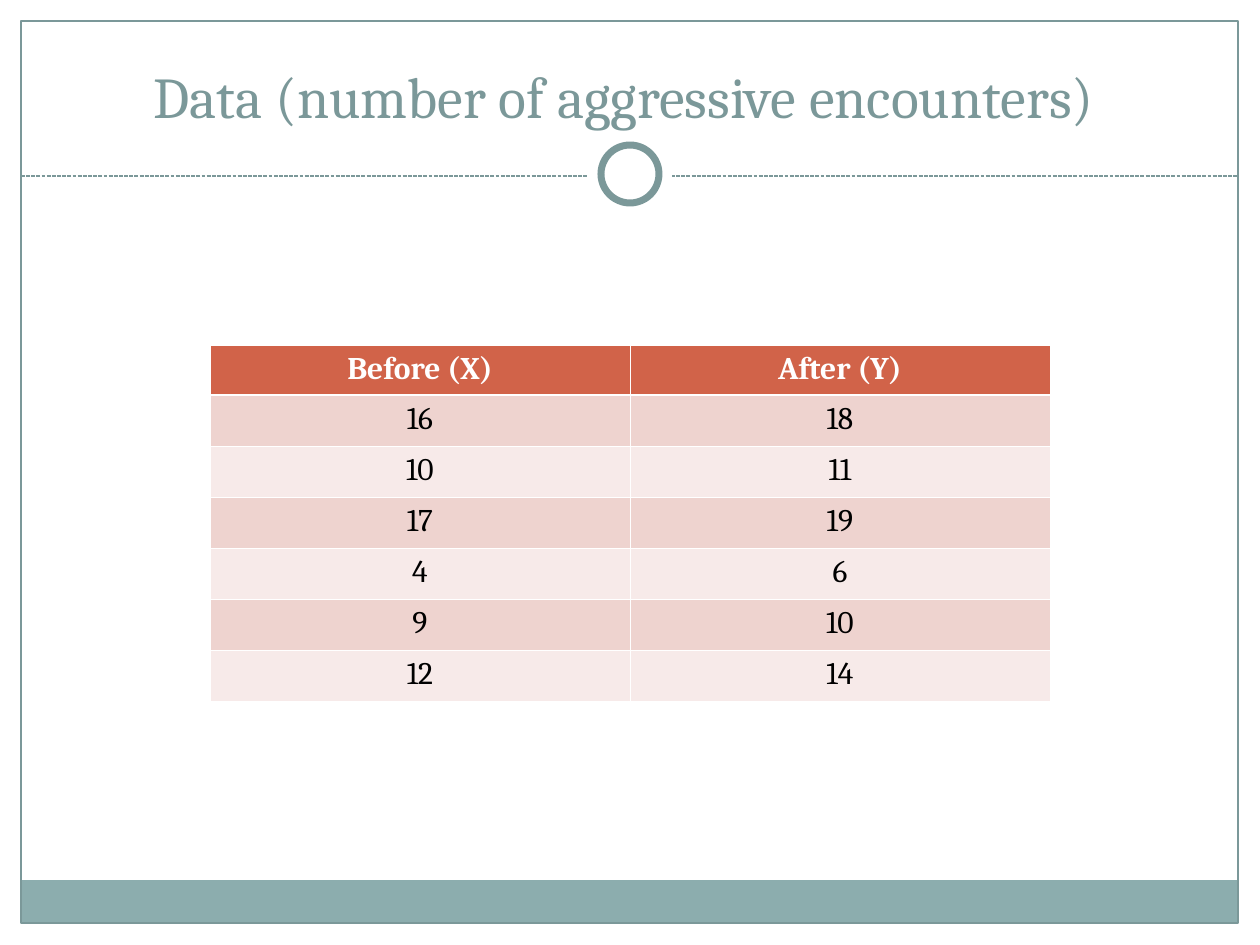
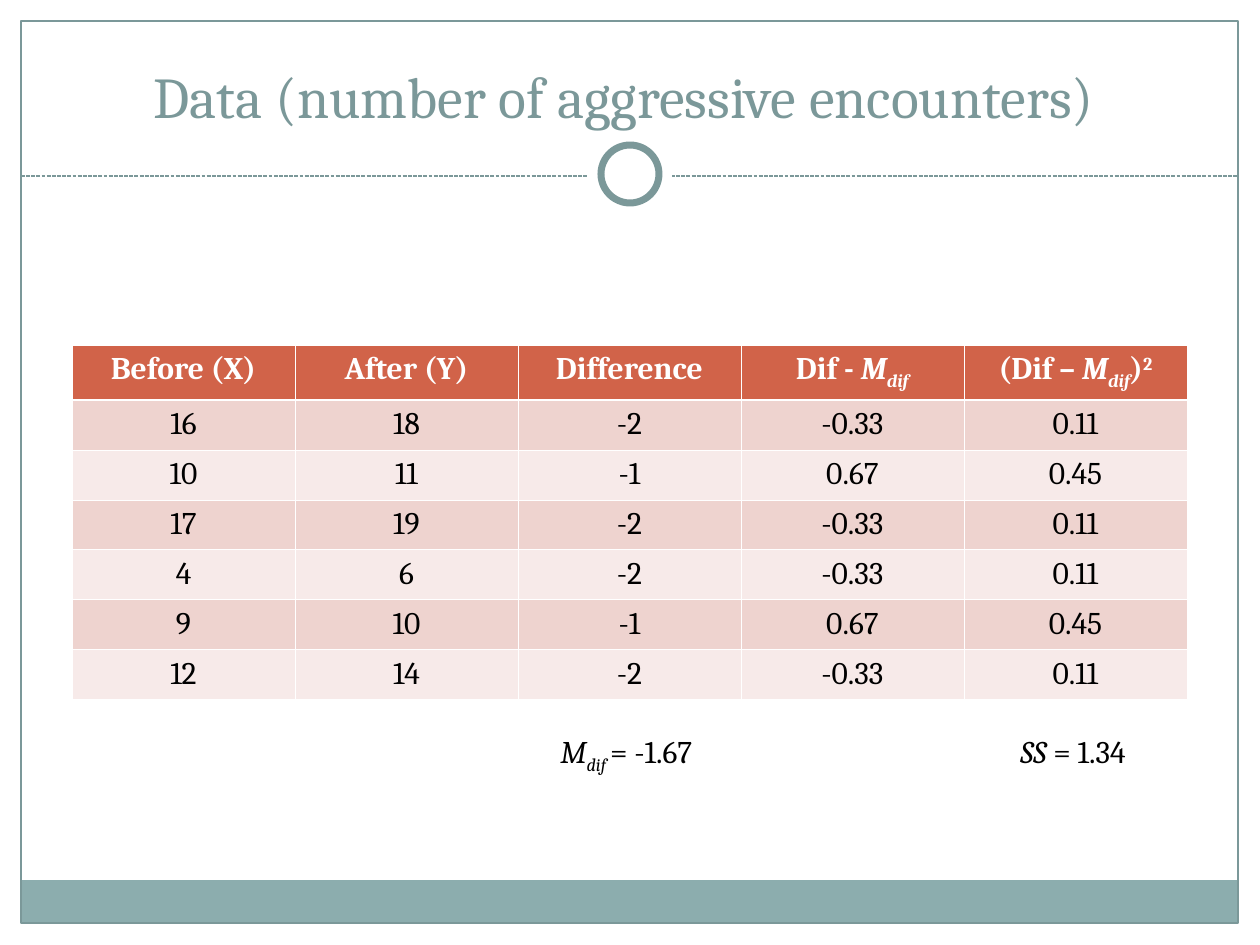
import lxml.etree
import pptx
import pptx.dml.color
import pptx.enum.dml
import pptx.enum.shapes
import pptx.enum.text
import pptx.oxml.ns
import pptx.util

EMU_PER_PX = 914400 / 126
PAGE_WIDTH, PAGE_HEIGHT = 1260, 945
FONT = "Cambria"
COLORS = {
    "white": "FFFFFF", "black": "000000", "slate": "7B9899", "band": "8CADAE",
    "header": "D16349", "odd row": "EED3CF", "even row": "F7EAE9",
}

TITLE = "Data (number of aggressive encounters) "
PLAIN, ITALIC = {}, {"italic": True}
SUBSCRIPT = {"italic": True, "baseline": -25}
SUPERSCRIPT = {"baseline": 30}
MEAN = [("M", ITALIC), ("dif", SUBSCRIPT)]

BEFORE = [16, 10, 17, 4, 9, 12]
AFTER = [18, 11, 19, 6, 10, 14]
DIFFERENCE = [-2, -1, -2, -2, -1, -2]
DEVIATION = ["-0.33", "0.67", "-0.33", "-0.33", "0.67", "-0.33"]
SQUARED = ["0.11", "0.45", "0.11", "0.11", "0.45", "0.11"]

PAGES = [
    {
        "columns": [("Before (X)", BEFORE), ("After (Y)", AFTER)],
        "column width": 420, "header height": 50, "row height": 51,
        "notes": [],
    },
    {
        "columns": [
            ("Before (X)", BEFORE),
            ("After (Y)", AFTER),
            ("Difference", DIFFERENCE),
            ([("Dif - ", PLAIN), *MEAN], DEVIATION),
            ([("(Dif – ", PLAIN), *MEAN, (")", PLAIN), ("2", SUPERSCRIPT)], SQUARED),
        ],
        "column width": 223, "header height": 55, "row height": 50,
        "notes": [
            ([("M", ITALIC), ("dif ", SUBSCRIPT), ("= -1.67", PLAIN)], (548, 726, 178, 55)),
            ([("SS ", ITALIC), ("= 1.34", PLAIN)], (1008, 726, 154, 50)),
        ],
    },
]
TABLE_TOP = 345

SHAPES = pptx.enum.shapes.MSO_SHAPE
# shape, (left, top, width, height), fill, line, line width
FRAME = [
    (SHAPES.RECTANGLE, (0, 0, PAGE_WIDTH, 192), "white", None, 0),
    (SHAPES.RECTANGLE, (0, 0, 21, PAGE_HEIGHT), "white", None, 0),
    (SHAPES.RECTANGLE, (1239, 0, 21, PAGE_HEIGHT), "white", None, 0),
    (SHAPES.RECTANGLE, (21, 880, 1217, 43), "band", None, 0),
    (SHAPES.RECTANGLE, (21, 21, 1217, 902), None, "slate", 0.75),
]
RINGS = [
    (SHAPES.OVAL, (588, 132, 84, 84), "white", None, 0),
    (SHAPES.OVAL, (601, 145, 58, 58), "white", "slate", 4),
]
RULE = (21, 176, 1239, 176)


def px(*lengths):
    return [pptx.util.Emu(round(length * EMU_PER_PX)) for length in lengths]


def rgb(name):
    return pptx.dml.color.RGBColor.from_string(COLORS[name])


def write_text(text_frame, text, size=18, color="black", bold=False, align=None):
    """Write a string, or a list of (text, style) spans, as one paragraph."""
    para = text_frame.paragraphs[0]
    para.alignment = align
    for words, style in [(text, PLAIN)] if isinstance(text, str) else text:
        span = para.add_run()
        span.text = words
        span.font.name = FONT
        span.font.size = pptx.util.Pt(size)
        span.font.bold = bold
        span.font.italic = style.get("italic", False)
        span.font.color.rgb = rgb(color)
        if "baseline" in style:
            span.font._element.set("baseline", str(style["baseline"] * 1000))


def add_frame_shape(page, kind, place, fill, line, width):
    shape = page.shapes.add_shape(kind, *px(*place))
    shape.shadow.inherit = False
    if fill:
        shape.fill.solid()
        shape.fill.fore_color.rgb = rgb(fill)
    else:
        shape.fill.background()
    if line:
        shape.line.color.rgb = rgb(line)
        shape.line.width = pptx.util.Pt(width)
    else:
        shape.line.fill.background()
    return shape


def add_rule(page):
    rule = page.shapes.add_connector(pptx.enum.shapes.MSO_CONNECTOR.STRAIGHT, *px(*RULE))
    rule.line.color.rgb = rgb("slate")
    rule.line.width = pptx.util.Pt(0.75)
    rule.line.dash_style = pptx.enum.dml.MSO_LINE.SQUARE_DOT
    lxml.etree.SubElement(rule._element.spPr, pptx.oxml.ns.qn("a:effectLst"))
    return rule


def move_frame_to_layout(page):
    """Draw the shared frame on a page, then hand it to the layout, behind its title."""
    layout = page.slide_layout
    for holder in list(layout.placeholders):
        if holder.placeholder_format.type != pptx.enum.shapes.PP_PLACEHOLDER.TITLE:
            holder._element.getparent().remove(holder._element)
    parts = [add_frame_shape(page, *part) for part in FRAME]
    parts.append(add_rule(page))
    parts += [add_frame_shape(page, *part) for part in RINGS]
    for index, part in enumerate(parts, 2):
        layout.shapes._spTree.insert(index, part._element)


def add_title(page):
    title = page.shapes.title
    title.left, title.top, title.width, title.height = px(42, 32, 1176, 104)
    title.text_frame.vertical_anchor = pptx.enum.text.MSO_ANCHOR.BOTTOM
    title.text_frame.auto_size = pptx.enum.text.MSO_AUTO_SIZE.NONE
    write_text(title.text_frame, TITLE, size=33, color="slate",
               align=pptx.enum.text.PP_ALIGN.CENTER)


def set_borders(cell, row):
    """White hairlines, with a thicker line between header and body."""
    widths = {"L": 0.45, "R": 0.45, "T": 1.47 if row == 1 else 0.45,
              "B": 1.47 if row == 0 else 0.45}
    properties = cell._tc.get_or_add_tcPr()
    for side, width in widths.items():
        line = lxml.etree.SubElement(properties, pptx.oxml.ns.qn(f"a:ln{side}"),
                                     w=str(pptx.util.Pt(width)))
        fill = lxml.etree.SubElement(line, pptx.oxml.ns.qn("a:solidFill"))
        lxml.etree.SubElement(fill, pptx.oxml.ns.qn("a:srgbClr"), val=COLORS["white"])


def add_data_table(page, content):
    columns = content["columns"]
    row_count = len(BEFORE) + 1
    width = content["column width"] * len(columns)
    height = content["header height"] + content["row height"] * len(BEFORE)
    place = px((PAGE_WIDTH - width) // 2, TABLE_TOP, width, height)
    table = page.shapes.add_table(row_count, len(columns), *place).table
    for row in range(row_count):
        table.rows[row].height = px(content["row height" if row else "header height"])[0]
    for column, (heading, values) in enumerate(columns):
        table.columns[column].width = px(content["column width"])[0]
        for row, text in enumerate([heading, *map(str, values)]):
            cell = table.cell(row, column)
            set_borders(cell, row)
            cell.fill.solid()
            fill = "header" if row == 0 else "odd row" if row % 2 else "even row"
            cell.fill.fore_color.rgb = rgb(fill)
            write_text(cell.text_frame, text, color="black" if row else "white",
                       bold=row == 0, align=pptx.enum.text.PP_ALIGN.CENTER)


def add_note(page, text, place):
    box = page.shapes.add_textbox(*px(*place))
    box.text_frame.word_wrap = False
    box.text_frame.auto_size = pptx.enum.text.MSO_AUTO_SIZE.SHAPE_TO_FIT_TEXT
    write_text(box.text_frame, text)


def main():
    deck = pptx.Presentation()
    deck.slide_width, deck.slide_height = px(PAGE_WIDTH, PAGE_HEIGHT)
    layout = deck.slide_layouts.get_by_name("Title Only")
    for number, content in enumerate(PAGES):
        page = deck.slides.add_slide(layout)
        if number == 0:
            move_frame_to_layout(page)
        add_title(page)
        add_data_table(page, content)
        for text, place in content["notes"]:
            add_note(page, text, place)
    deck.save("out.pptx")


if __name__ == "__main__":
    main()
